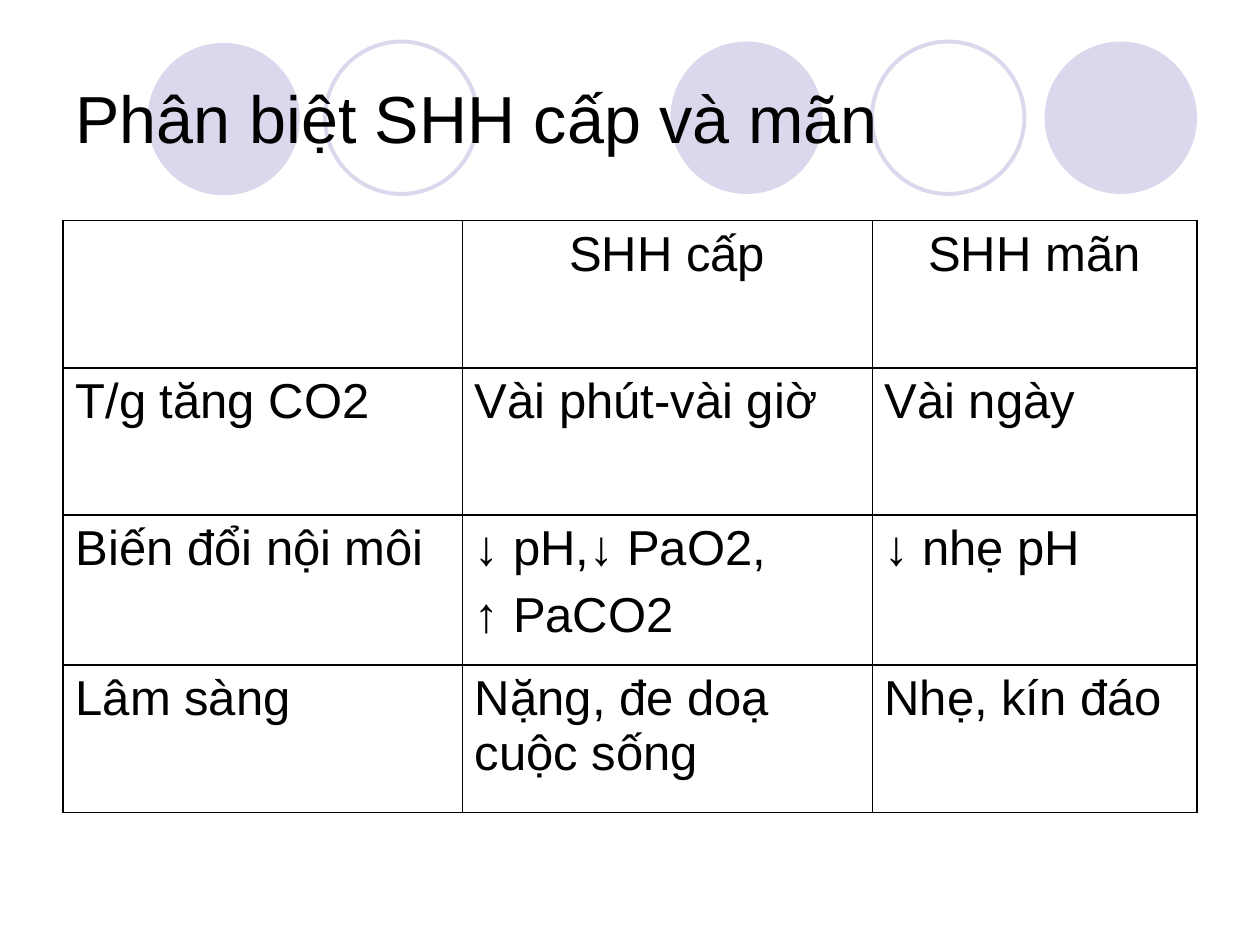
from lxml import etree
from pptx import Presentation
from pptx.dml.color import RGBColor
from pptx.enum.shapes import MSO_SHAPE
from pptx.enum.text import MSO_ANCHOR, MSO_AUTO_SIZE, PP_ALIGN
from pptx.oxml.ns import qn
from pptx.util import Inches, Pt

ELLIPSE = MSO_SHAPE.OVAL
LEFT, CENTER = PP_ALIGN.LEFT, PP_ALIGN.CENTER
MIDDLE, TOP = MSO_ANCHOR.MIDDLE, MSO_ANCHOR.TOP
NO_AUTOFIT = MSO_AUTO_SIZE.NONE

FONT = "Arial"
BLACK, LILAC = "000000", "D9D8EC"
THICK, THIN = 1.08, 0.45

CIRCLE_SIZE = 1.21
CIRCLES = [  # left, top, filled
    (5.32, 0.33, True),
    (8.29, 0.33, True),
    (1.17, 0.34, True),
    (6.92, 0.33, False),
    (2.58, 0.33, False),
]

COLUMN_WIDTHS = [3.17, 3.25, 2.58]
ROW_HEIGHTS = [1.17, 1.17, 1.19, 1.17]
COMPARISON = [  # a line break starts a new paragraph
    ["", "SHH cấp", "SHH mãn"],
    ["T/g tăng CO2", "Vài phút-vài giờ", "Vài ngày"],
    ["Biến đổi nội môi", "↓ pH,↓ PaO2,\n↑ PaCO2", "↓ nhẹ pH"],
    ["Lâm sàng", "Nặng, đe doạ cuộc sống", "Nhẹ, kín đáo"],
]


def color(hex_value):
    return RGBColor.from_string(hex_value)


def set_attributes(target, values):
    for name, value in values.items():
        setattr(target, name, value)


def write_text(frame, text, size, align):
    frame.text = text
    for index, paragraph in enumerate(frame.paragraphs):
        paragraph.alignment = align
        paragraph.space_before = Pt(7 if index else 0)
        for run in paragraph.runs:
            set_attributes(run.font, {"name": FONT, "size": Pt(size)})
            run.font.color.rgb = color(BLACK)


def add_circle(slide, left, top, filled):
    circle = slide.shapes.add_shape(
        ELLIPSE, Inches(left), Inches(top), Inches(CIRCLE_SIZE), Inches(CIRCLE_SIZE))
    circle.shadow.inherit = False
    if filled:
        circle.fill.solid()
        circle.fill.fore_color.rgb = color(LILAC)
        circle.line.fill.background()
    else:
        circle.fill.background()
        circle.line.color.rgb = color(LILAC)
        circle.line.width = Pt(2.25)


def place_title(slide, text):
    title = slide.shapes.title
    set_attributes(title, {"left": Inches(0.5), "top": Inches(0.3),
                           "width": Inches(9), "height": Inches(1.25)})
    set_attributes(title.text_frame, {"vertical_anchor": MIDDLE, "word_wrap": True,
                                      "auto_size": NO_AUTOFIT})
    write_text(title.text_frame, text, 38, LEFT)
    # Bring the title in front of the circles
    slide.shapes._spTree.append(title._element)


def add_borders(cell, widths):
    properties = cell._tc.get_or_add_tcPr()
    for side, width in widths.items():
        line = etree.SubElement(properties, qn(f"a:ln{side}"), w=str(int(Pt(width))))
        fill = etree.SubElement(line, qn("a:solidFill"))
        etree.SubElement(fill, qn("a:srgbClr"), val=BLACK)


def add_comparison_table(slide):
    table = slide.shapes.add_table(
        len(ROW_HEIGHTS), len(COLUMN_WIDTHS), Inches(0.5), Inches(1.75),
        Inches(sum(COLUMN_WIDTHS)), Inches(sum(ROW_HEIGHTS))).table
    set_attributes(table, {"first_row": False, "horz_banding": False})
    for column, width in zip(table.columns, COLUMN_WIDTHS):
        column.width = Inches(width)
    for row, height in zip(table.rows, ROW_HEIGHTS):
        row.height = Inches(height)

    last = len(COLUMN_WIDTHS) - 1
    for r, labels in enumerate(COMPARISON):
        for c, label in enumerate(labels):
            cell = table.cell(r, c)
            add_borders(cell, {"L": THIN if c else THICK,
                               "R": THICK if c == last else THIN,
                               "T": THICK, "B": THICK})
            cell.fill.background()
            set_attributes(cell, {"margin_left": Inches(0.1), "margin_right": Inches(0.1),
                                  "margin_top": Inches(0.05), "margin_bottom": Inches(0.05),
                                  "vertical_anchor": TOP})
            write_text(cell.text_frame, label, 28, LEFT if r else CENTER)


def main():
    presentation = Presentation()
    set_attributes(presentation, {"slide_width": Inches(10), "slide_height": Inches(7.5)})
    slide = presentation.slides.add_slide(presentation.slide_layouts[5])

    # Decorative circles behind the title
    for left, top, filled in CIRCLES:
        add_circle(slide, left, top, filled)

    # Title and comparison of acute and chronic failure
    place_title(slide, "Phân biệt SHH cấp và mãn")
    add_comparison_table(slide)

    presentation.save("out.pptx")


if __name__ == "__main__":
    main()
